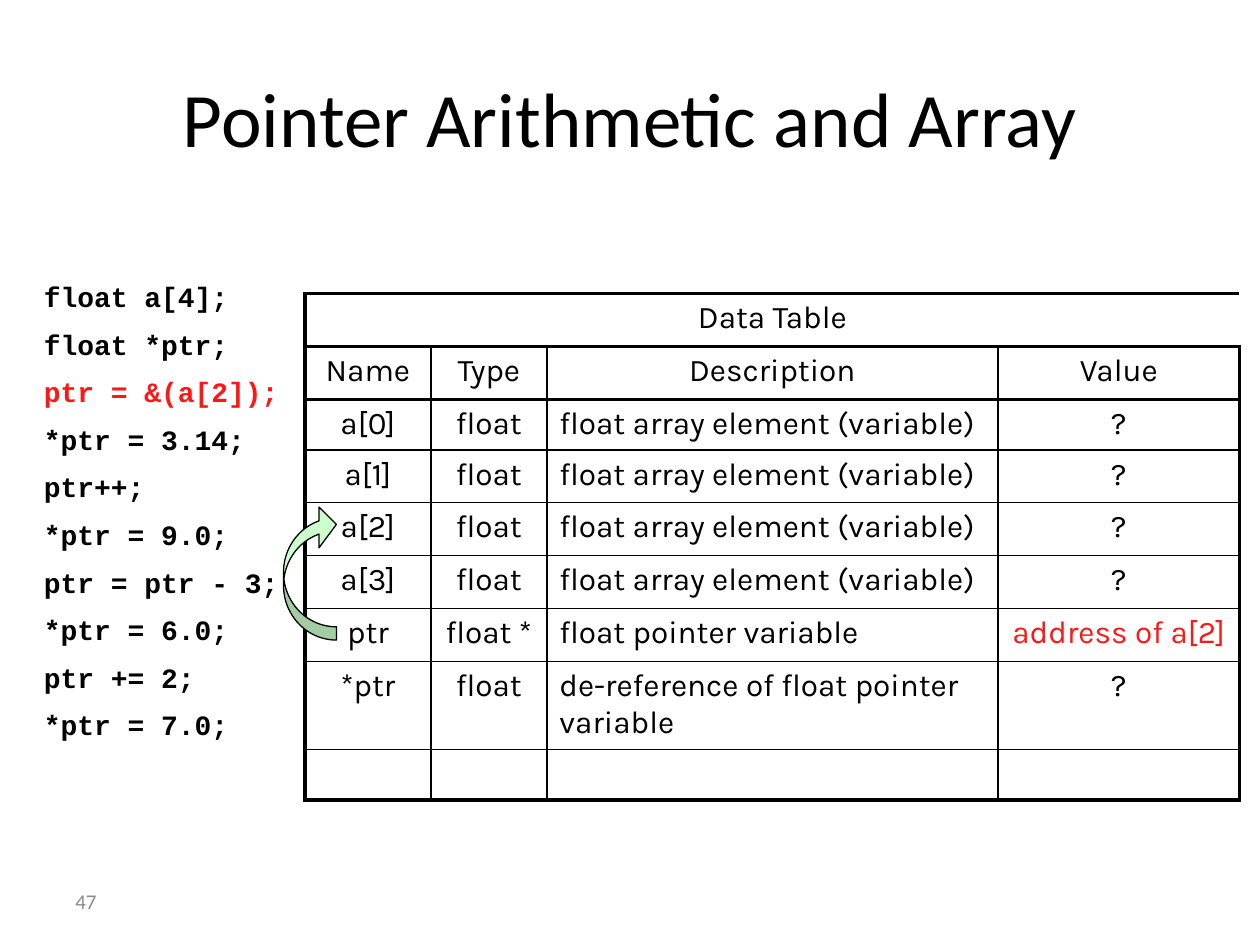
from pptx import Presentation
from pptx.dml.color import RGBColor
from pptx.enum.shapes import MSO_SHAPE as Shape
from pptx.enum.text import MSO_ANCHOR as Anchor, MSO_AUTO_SIZE as Fit, PP_ALIGN as Align
from pptx.oxml.ns import qn
from pptx.util import Inches, Pt
from lxml.etree import SubElement as Sub

TITLE = "Pointer Arithmetic and Array"
PAGE = "47"
CODE = ["float a[4];", "float *ptr;", "ptr = &(a[2]);", "*ptr = 3.14;", "ptr++;",
        "*ptr = 9.0;", "ptr = ptr - 3;", "*ptr = 6.0;", "ptr += 2;", "*ptr = 7.0;"]
ITEM = "float array element (variable)"
ROWS = [
    ("Data Table", "", "", ""),
    ("Name", "Type", "Description", "Value"),
    *[(f"a[{i}]", "float", ITEM, "?") for i in range(4)],
    ("ptr", "float *", "float pointer variable", "address of a[2]"),
    ("*ptr", "float", "de-reference of float pointer variable", "?"),
    ("", "", "", ""),
]
MARKED = {"ptr = &(a[2]);", "address of a[2]"}
HEAD = 2      # heading rows
DESC = 2      # description column, set flush left

COLS = [1, 0.92, 3.58, 1.92]
HIGH = [0.42, 0.42, 0.33, 0.42, 0.42, 0.42, 0.42, 0.42, 0.34]

THEME = {
    "title": {"name": "Calibri", "size": Pt(44), "color": "000000"},
    "page": {"name": "Calibri", "size": Pt(12), "color": "8C8C8C"},
    "code": {"name": "Courier New", "size": Pt(16), "color": "000000", "bold": True},
    "cell": {"name": "Karla", "size": Pt(18), "color": "000000"},
    "mark": "FF1717", "line": "000000", "arrow": "CCFFCC",
    "thin": Pt(1), "thick": Pt(2.25),
}


def box(*nums):
    return [Inches(n) for n in nums]


def style(font, form):
    for key, val in form.items():
        if key == "color":
            font.color.rgb = RGBColor.from_string(val)
        else:
            setattr(font, key, val)


def write(para, text, kind, align=Align.LEFT, gap=0):
    """Fill a paragraph; gap is the space before it, in percent of a line."""
    para.alignment = align
    form = dict(THEME[kind])
    if text in MARKED:
        form["color"] = THEME["mark"]
    if text:
        run = para.add_run()
        run.text = text
        style(run.font, form)
    else:
        style(para.font, form)
    if gap:
        para.space_before = Pt(0)
        space = para._p.pPr.find(qn("a:spcBef"))
        space.remove(space[0])
        Sub(space, qn("a:spcPct"), val=str(gap * 1000))


def edge(cell, side, width):
    line = Sub(cell._tc.get_or_add_tcPr(), qn(f"a:ln{side}"), w=str(width))
    Sub(Sub(line, qn("a:solidFill")), qn("a:srgbClr"), val=THEME["line"])


def add_title(slide):
    title = slide.shapes.title
    title.left, title.top, title.width, title.height = box(0.5, 0.3, 9, 1.25)
    title.text_frame.vertical_anchor = Anchor.MIDDLE
    write(title.text_frame.paragraphs[0], TITLE, "title", Align.CENTER)


def add_page(slide):
    frame = slide.shapes.add_textbox(*box(0.5, 6.95, 2.33, 0.4)).text_frame
    frame.word_wrap = True
    frame.vertical_anchor = Anchor.MIDDLE
    write(frame.paragraphs[0], PAGE, "page")


def add_code(slide):
    frame = slide.shapes.add_textbox(*box(0.25, 2.17, 9.33, 3.98)).text_frame
    frame.word_wrap = True
    frame.auto_size = Fit.SHAPE_TO_FIT_TEXT
    for i, text in enumerate(CODE):
        para = frame.add_paragraph() if i else frame.paragraphs[0]
        write(para, text, "code", gap=50)


def add_data(slide):
    spot = box(2.42, 2.33, sum(COLS), sum(HIGH))
    table = slide.shapes.add_table(len(ROWS), len(COLS), *spot).table
    table.first_row = table.horz_banding = False
    for col, wide in zip(table.columns, COLS):
        col.width = Inches(wide)
    for row, high in zip(table.rows, HIGH):
        row.height = Inches(high)
    table.cell(0, 0).merge(table.cell(0, len(COLS) - 1))
    for r, row in enumerate(ROWS):
        for c, text in enumerate(row):
            cell = table.cell(r, c)
            flush = r >= HEAD and c == DESC
            write(cell.text_frame.paragraphs[0], text, "cell",
                  Align.LEFT if flush else Align.CENTER, 20)
            heavy = {"L": c == 0, "R": c == len(COLS) - 1,
                     "T": r <= HEAD, "B": r < HEAD or r == len(ROWS) - 1}
            for side, bold in heavy.items():
                if r or bold:
                    edge(cell, side, THEME["thick" if bold else "thin"])
            cell.fill.background()


def add_arrow(slide):
    arrow = slide.shapes.add_shape(Shape.CURVED_LEFT_ARROW, *box(2.25, 4, 0.42, 1.08))
    arrow.rotation = 180
    for i, val in enumerate([0.25, 0.77, 0.33]):
        arrow.adjustments[i] = val
    arrow.shadow.inherit = False
    arrow.fill.solid()
    arrow.fill.fore_color.rgb = RGBColor.from_string(THEME["arrow"])
    arrow.line.color.rgb = RGBColor.from_string(THEME["line"])
    arrow.line.width = Pt(0.75)


def main():
    deck = Presentation()
    deck.slide_width, deck.slide_height = box(10, 7.5)
    slide = deck.slides.add_slide(deck.slide_layouts[5])
    for add in (add_title, add_page, add_code, add_data, add_arrow):
        add(slide)
    deck.save("out.pptx")


if __name__ == "__main__":
    main()
